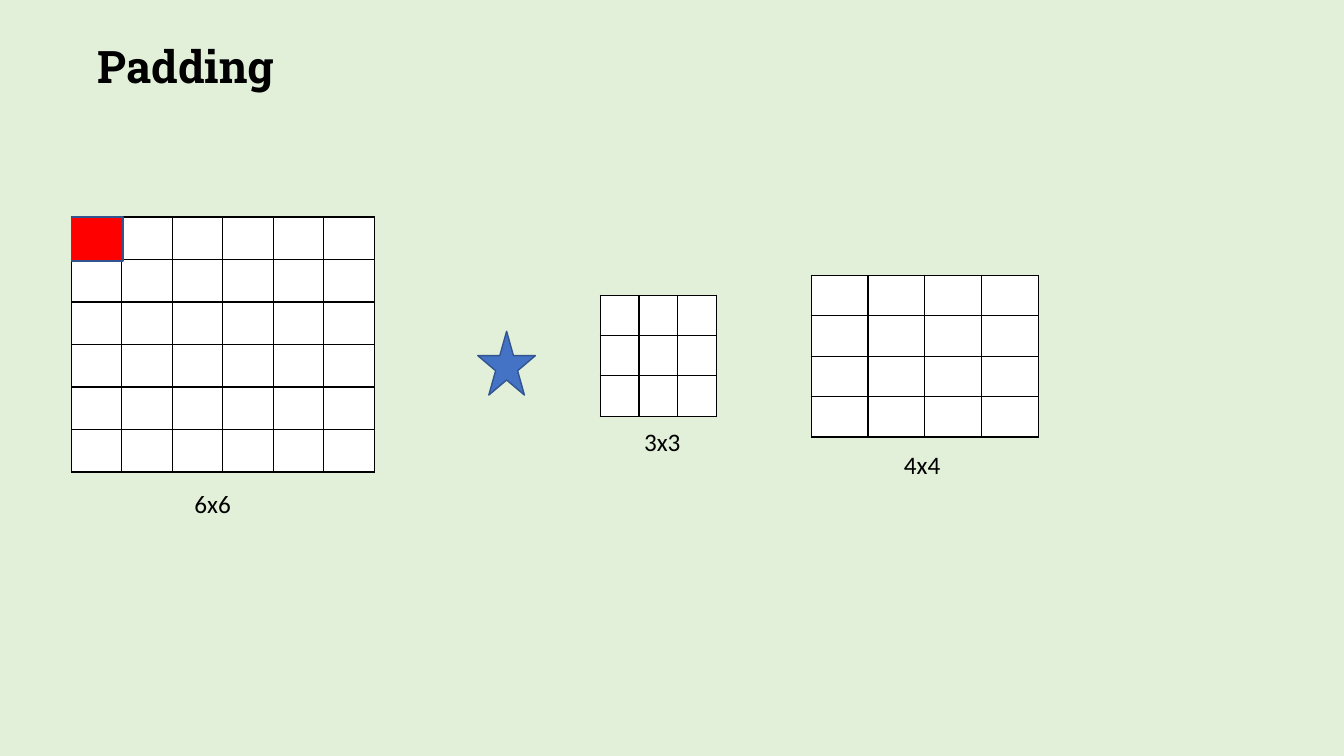
"""Builds the Padding slide: a 6x6 grid, a star, a 3x3 grid and the 4x4 result."""
from lxml.etree import SubElement
from pptx import Presentation
from pptx.dml.color import RGBColor
from pptx.enum.shapes import MSO_SHAPE
from pptx.enum.text import MSO_ANCHOR, PP_ALIGN
from pptx.oxml.ns import qn
from pptx.util import Pt


def paint(fill, color):
    """Give a fill one solid colour from a hex string."""
    fill.solid()
    fill.fore_color.rgb = RGBColor.from_string(color)


def write(shape, text, anchor, font_values):
    """Write one left-aligned line of formatted text in a shape."""
    frame = shape.text_frame
    frame.word_wrap = True
    frame.vertical_anchor = anchor
    para = frame.paragraphs[0]
    para.alignment = PP_ALIGN.LEFT
    span = para.add_run()
    span.text = text
    for name, value in font_values.items():
        setattr(span.font, name, value)
    paint(span.font.fill, "000000")


deck = Presentation()
deck.slide_width, deck.slide_height = Pt(960), Pt(540)
page = deck.slides.add_slide(deck.slide_layouts[5])
paint(page.background.fill, "E2F0D9")

title = page.shapes.title
title_place = {"left": 62.6, "top": 23.8, "width": 304, "height": 46}
for name, value in title_place.items():
    setattr(title, name, Pt(value))
write(title, "Padding", MSO_ANCHOR.MIDDLE,
      {"name": "Roboto Slab", "size": Pt(32), "bold": True})

grids = [
    (6, 51, 155, 216.5, 182.2, 131.8, 345),
    (3, 428.8, 210.8, 83, 86.4, 453, 301),
    (4, 579.5, 196.8, 162.2, 115.2, 638.6, 317.5),
]
for count, left, top, width, height, label_left, label_top in grids:
    table = page.shapes.add_table(
        count, count, Pt(left), Pt(top), Pt(width), Pt(height)).table
    table.first_row = table.horz_banding = False
    for column in table.columns:
        column.width = Pt(width / count)
    for row in table.rows:
        row.height = Pt(height / count)
    for cell in table.iter_cells():
        properties = cell._tc.get_or_add_tcPr()
        for side in ("a:lnL", "a:lnR", "a:lnT", "a:lnB"):
            border = SubElement(properties, qn(side), w=str(Pt(1)))
            border_fill = SubElement(border, qn("a:solidFill"))
            SubElement(border_fill, qn("a:srgbClr"), val="000000")
        paint(cell.fill, "FFFFFF")
    label = page.shapes.add_textbox(
        Pt(label_left), Pt(label_top), Pt(55.4), Pt(29))
    write(label, f"{count}x{count}", MSO_ANCHOR.TOP,
          {"name": "Calibri", "size": Pt(18)})

markers = [
    (MSO_SHAPE.STAR_5_POINT, "4472C4", 341.3, 236.6, 41.2, 45.6),
    (MSO_SHAPE.RECTANGLE, "FF0000", 51, 155, 36.8, 31.4),
]
for kind, color, left, top, width, height in markers:
    marker = page.shapes.add_shape(
        kind, Pt(left), Pt(top), Pt(width), Pt(height))
    marker.shadow.inherit = False
    paint(marker.fill, color)
    paint(marker.line.fill, "325491")
    marker.line.width = Pt(1)

deck.save("out.pptx")
